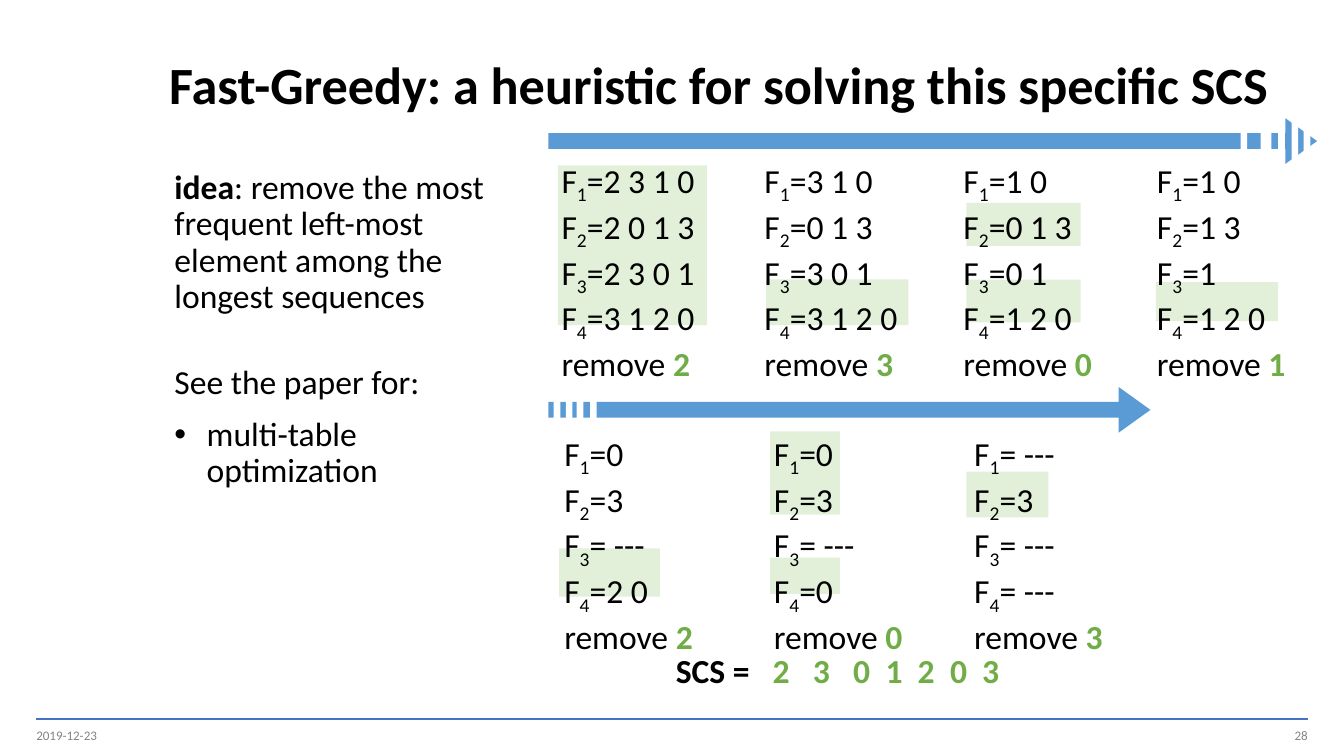
from dataclasses import dataclass

from lxml.etree import SubElement
from pptx import Presentation
from pptx.dml.color import RGBColor
from pptx.enum.shapes import MSO_CONNECTOR, MSO_SHAPE
from pptx.enum.text import MSO_ANCHOR, MSO_AUTO_SIZE, PP_ALIGN
from pptx.oxml.ns import qn
from pptx.util import Inches, Pt


@dataclass(frozen=True)
class Theme:
    font: str = "Calibri"
    ink: str = "000000"
    paper: str = "FFFFFF"
    muted: str = "848489"
    rule: str = "4472C4"
    arrow: str = "5B9BD5"
    removed: str = "70AD47"
    highlight: str = "E2F0D9"
    title: int = 28
    body: int = 18
    footer: int = 7


THEME = Theme()

TOP_ROW = {
    "text_top": 0.26,
    "notches": [(5.62, 0, 0.05, 0.62), (5.53, -0.07, 0.05, 0.62), (5.43, -0.01, 0.05, 0.62),
                (5.3, 0.01, 0.08, 0.39), (5.15, 0.01, 0.05, 0.25)],
    "steps": [
        (0, 5.76, ["=2 3 1 0", "=2 0 1 3", "=2 3 0 1", "=3 1 2 0"], "2"),
        (1.51, 1.36, ["=3 1 0", "=0 1 3", "=3 0 1", "=3 1 2 0"], "3"),
        (2.99, 1.41, ["=1 0", "=0 1 3", "=0 1", "=1 2 0"], "0"),
        (4.43, 1.41, ["=1 0", "=1 3", "=1", "=1 2 0"], "1"),
    ],
    "highlights": [(0.07, 0.35, 1.11, 1.19), (1.62, 1.2, 1.06, 0.34), (3.11, 0.63, 0.85, 0.32),
                   (3.11, 1.2, 0.85, 0.32), (4.52, 1.22, 0.91, 0.29)],
}
BOTTOM_ROW = {
    "text_top": 0.29,
    "notches": [(0.31, 0.03, 0.05, 0.24), (0.21, 0.08, 0.05, 0.24),
                (0.13, 0.09, 0.05, 0.24), (0.04, 0.09, 0.05, 0.24)],
    "steps": [
        (0.02, 1.41, ["=0", "=3", "= ---", "=2 0"], "2"),
        (1.58, 1.41, ["=0", "=3", "= ---", "=0"], "0"),
        (3.07, 1.41, ["= ---", "=3", "= ---", "= ---"], "3"),
    ],
    "highlights": [(0.08, 1.2, 0.75, 0.36), (1.65, 0.33, 0.52, 0.62),
                   (1.65, 1.27, 0.52, 0.27), (3.11, 0.63, 0.61, 0.34)],
}


def add_frame(slide, box, **settings):
    frame = slide.shapes.add_textbox(*map(Inches, box)).text_frame
    for name, value in {"word_wrap": True, **settings}.items():
        setattr(frame, name, value)
    return frame


def add_run(paragraph, text, color=THEME.ink, size=THEME.body, bold=False, baseline=None):
    run = paragraph.add_run()
    run.text = text
    for name, value in {"name": THEME.font, "size": Pt(size), "bold": bold}.items():
        setattr(run.font, name, value)
    run.font.color.rgb = RGBColor.from_string(color)
    if baseline:
        run.font._element.set("baseline", str(baseline))


def next_paragraph(frame, index, **settings):
    paragraph = frame.add_paragraph() if index else frame.paragraphs[0]
    for name, value in settings.items():
        setattr(paragraph, name, value)
    return paragraph


def add_block(slide, kind, box, color):
    block = slide.shapes.add_shape(kind, *map(Inches, box))
    block.shadow.inherit = False
    block.fill.solid()
    block.fill.fore_color.rgb = RGBColor.from_string(color)
    block.line.fill.background()
    return block


def add_title(slide, box):
    frame = add_frame(slide, box, vertical_anchor=MSO_ANCHOR.MIDDLE)
    heading = next_paragraph(frame, 0, line_spacing=Pt(30))
    add_run(heading, "Fast-Greedy: a heuristic for solving this specific SCS",
            size=THEME.title, bold=True)


def add_idea(slide, box):
    frame = add_frame(slide, box)
    spacing = {"line_spacing": 0.9, "space_after": Pt(2)}
    idea = next_paragraph(frame, 0, **spacing)
    add_run(idea, "idea", bold=True)
    add_run(idea, ": remove the most frequent left-most element among the longest sequences")
    paper = next_paragraph(frame, 1, space_before=Pt(24.5), **spacing)
    add_run(paper, "See the paper for:")
    topic = next_paragraph(frame, 2, space_before=Pt(6.5), **spacing)
    properties = topic._p.get_or_add_pPr()
    properties.set("marL", str(Inches(0.24)))
    properties.set("indent", str(Inches(-0.24)))
    SubElement(properties, qn("a:buFont")).set("typeface", "Arial")
    SubElement(properties, qn("a:buChar")).set("char", "•")
    add_run(topic, "multi-table optimization")


def add_step(slide, box, sequences, removed):
    frame = add_frame(slide, box, auto_size=MSO_AUTO_SIZE.SHAPE_TO_FIT_TEXT)
    for index, sequence in enumerate(sequences):
        line = next_paragraph(frame, index)
        add_run(line, "F")
        add_run(line, str(index + 1), baseline=-25000)
        add_run(line, sequence)
    action = next_paragraph(frame, len(sequences))
    add_run(action, "remove ")
    add_run(action, removed, THEME.removed, bold=True)


def add_step_row(slide, box, row):
    left, top, width, height = box
    for x, y, w, h in row["highlights"]:
        add_block(slide, MSO_SHAPE.RECTANGLE, (left + x, top + y, w, h), THEME.highlight)
    for x, w, sequences, removed in row["steps"]:
        add_step(slide, (left + x, top + row["text_top"], w, 1.62), sequences, removed)
    arrow = add_block(slide, MSO_SHAPE.RIGHT_ARROW, box, THEME.arrow)
    arrow.adjustments[0] = 0.344
    arrow.adjustments[1] = 0.695
    for x, y, w, h in row["notches"]:
        add_block(slide, MSO_SHAPE.RECTANGLE, (left + x, top + y, w, h), THEME.paper)


def add_result(slide, box):
    left, top, width, height = box
    parts = [(0, 0.93, "SCS =", THEME.ink), (0.72, 0.24, "2", THEME.removed),
             (1.02, 0.24, "3", THEME.removed), (1.32, width - 1.32, "0\t1\t2\t0\t3", THEME.removed)]
    for x, w, text, color in parts:
        frame = add_frame(slide, (left + x, top, w, height),
                          auto_size=MSO_AUTO_SIZE.SHAPE_TO_FIT_TEXT)
        line = next_paragraph(frame, 0)
        if "\t" in text:
            stops = SubElement(line._p.get_or_add_pPr(), qn("a:tabLst"))
            for index in range(text.count("\t")):
                stop = SubElement(stops, qn("a:tab"))
                stop.set("pos", str(Inches(0.24 * (index + 1))))
                stop.set("algn", "l")
        add_run(line, text, color, bold=True)


def add_footer(slide, box):
    left, top, width, height = box
    rule = slide.shapes.add_connector(
        MSO_CONNECTOR.STRAIGHT, *map(Inches, (left, top, left + width, top)))
    rule.line.color.rgb = RGBColor.from_string(THEME.rule)
    rule.line.width = Pt(1)
    SubElement(rule._element.spPr, qn("a:effectLst"))
    margins = dict.fromkeys(("margin_left", "margin_top", "margin_right", "margin_bottom"), 0)
    for x, text, alignment in [(0, "2019-12-23", PP_ALIGN.LEFT),
                               (width - 2.25, "28", PP_ALIGN.RIGHT)]:
        frame = add_frame(slide, (left + x, top + 0.06, 2.25, height - 0.06),
                          vertical_anchor=MSO_ANCHOR.MIDDLE, **margins)
        add_run(next_paragraph(frame, 0, alignment=alignment), text, THEME.muted, THEME.footer)


def main():
    presentation = Presentation()
    presentation.slide_width = Inches(10)
    presentation.slide_height = Inches(10 * 9 / 16)
    slide = presentation.slides.add_slide(presentation.slide_layouts[6])
    add_footer(slide, (0.27, 5.35, 9.46, 0.19))
    add_title(slide, (1.16, 0.28, 8.57, 0.74))
    add_idea(slide, (1.2, 1.22, 2.54, 4.14))
    add_step_row(slide, (4.08, 0.88, 5.72, 0.34), TOP_ROW)
    add_step_row(slide, (4.08, 2.88, 4.48, 0.34), BOTTOM_ROW)
    add_result(slide, (4.93, 4.79, 3.63, 0.4))
    presentation.save("out.pptx")


if __name__ == "__main__":
    main()
